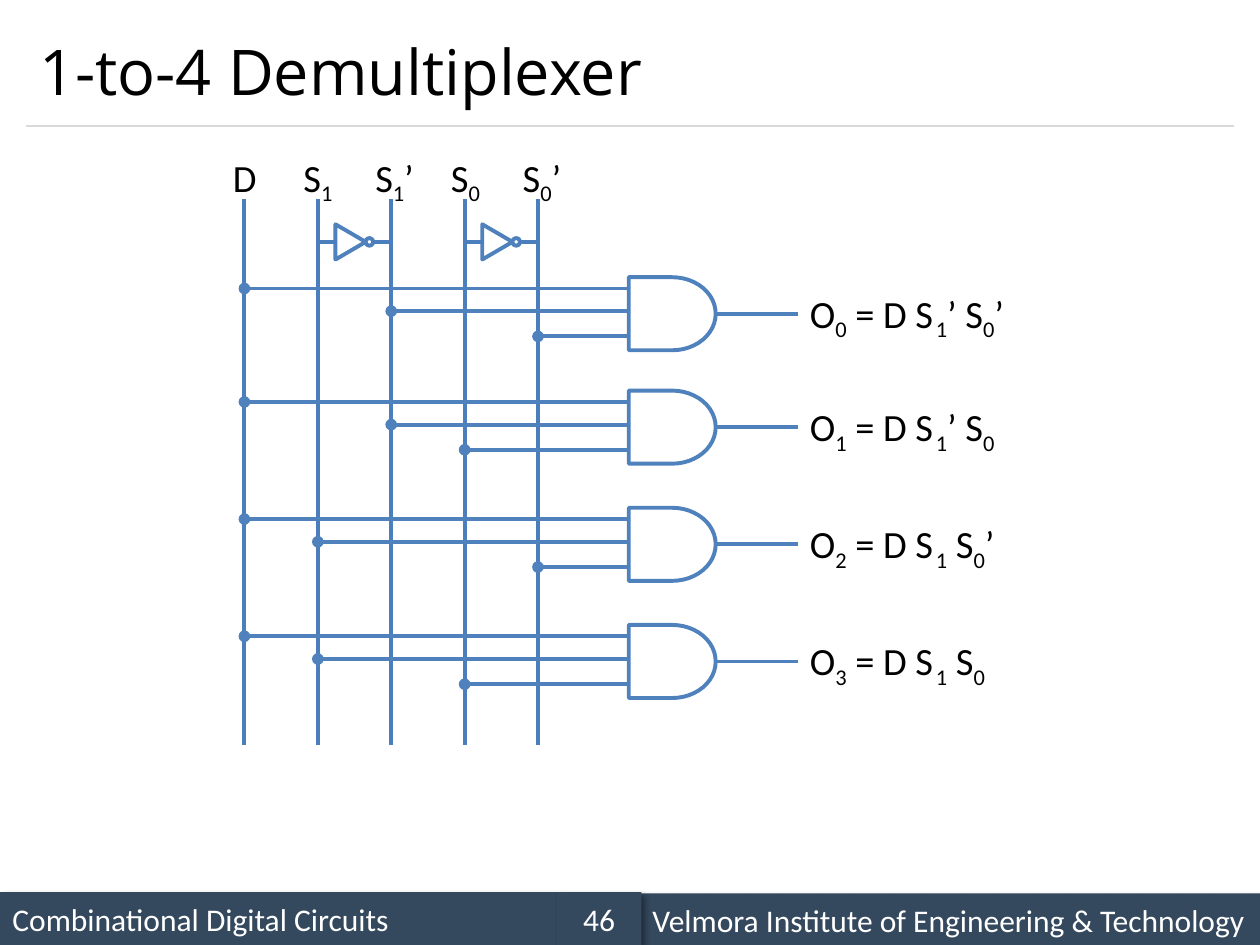
from dataclasses import dataclass

from lxml import etree
from pptx import Presentation
from pptx import util as u
from pptx.dml.color import RGBColor
from pptx.enum import shapes, text
from pptx.oxml import ns

COLORS = {"bar": "34495E", "rule": "D9D9D9", "bus": "4B7EBC", "gate": "4F81BD",
          "white": "FFFFFF", "black": "000000"}
Inches = u.Inches
BUS_LEFT, BUS_RIGHT, BUS_TOP, BUS_BOTTOM = 1.94, 4.27, 1.58, 5.91
GATE_LEFT, GATE_WIDTH, GATE_HEIGHT = 4.99, 0.69, 0.58
OUTPUT_END = 6.33
INPUT_OFFSETS = (0.09, 0.27, 0.47)
INVERTER_Y = 1.92


@dataclass
class Bar:
    left: float
    top: float
    width: float
    words: str
    align: text.PP_ALIGN


@dataclass
class Signal:
    label: str
    left: float
    width: float = 0.59


@dataclass
class Gate:
    top: float
    inputs: tuple[int, int, int]
    formula: str


BARS = [
    Bar(0, 7.08, 4.42, "Combinational Digital Circuits", text.PP_ALIGN.LEFT),
    Bar(5.08, 7.09, 4.92, "Velmora Institute of Engineering & Technology", text.PP_ALIGN.LEFT),
    Bar(4.42, 7.08, 0.67, "46", text.PP_ALIGN.CENTER),
]
SIGNALS = [Signal("D", 1.75, 0.38), Signal("S|1", 2.31), Signal("S|1|’", 2.88),
           Signal("S|0", 3.48), Signal("S|0|’", 4.05)]
GATES = [
    Gate(2.2, (0, 2, 4), "O|0| = D S|\t1|’ S|0|’"),
    Gate(3.1, (0, 2, 3), "O|1| = D S|\t1|’ S|0"),
    Gate(4.03, (0, 1, 4), "O|2| = D S|\t1| S|0|’"),
    Gate(4.96, (0, 1, 3), "O|3| = D S|\t1| S|0"),
]


def rgb(name: str) -> RGBColor:
    return RGBColor.from_string(COLORS[name])


def bus_x(index: int) -> float:
    return BUS_LEFT + index * (BUS_RIGHT - BUS_LEFT) / (len(SIGNALS) - 1)


def add_wire(canvas, start: tuple, end: tuple, color: str = "bus",
             width: float = 2.25, dot: bool = False):
    wire = canvas.add_connector(shapes.MSO_CONNECTOR.STRAIGHT,
                                *(Inches(value) for value in start + end))
    wire.line.color.rgb = rgb(color)
    wire.line.width = u.Pt(width)
    properties = wire._element.spPr
    if dot:
        outline = properties.find(ns.qn("a:ln"))
        etree.SubElement(outline, ns.qn("a:headEnd"), type="oval")
    etree.SubElement(properties, ns.qn("a:effectLst"))
    return wire


def add_outline(canvas, kind: shapes.MSO_SHAPE, left: float, top: float,
                width: float, height: float, filled: bool = True):
    shape = canvas.add_shape(kind, Inches(left), Inches(top), Inches(width), Inches(height))
    shape.shadow.inherit = False
    if filled:
        shape.fill.solid()
        shape.fill.fore_color.rgb = rgb("white")
    else:
        shape.fill.background()
    shape.line.color.rgb = rgb("gate")
    shape.line.width = u.Pt(2.25)
    return shape


def add_label(canvas, words: str, left: float, top: float, width: float) -> None:
    box = canvas.add_textbox(Inches(left), Inches(top), Inches(width), Inches(0.47))
    box.text_frame.word_wrap = True
    para = box.text_frame.paragraphs[0]
    para.font.size = u.Pt(22)
    para.font.name = "Calibri"
    para.font.color.rgb = rgb("black")
    for index, part in enumerate(words.split("|")):
        span = para.add_run()
        span.text = part
        if index % 2:
            span._r.get_or_add_rPr().set("baseline", "-25000")


def add_bar(canvas, bar: Bar) -> None:
    shape = canvas.add_shape(shapes.MSO_SHAPE.RECTANGLE, Inches(bar.left), Inches(bar.top),
                             Inches(bar.width), Inches(0.42))
    shape.fill.solid()
    shape.fill.fore_color.rgb = rgb("bar")
    shape.line.fill.background()
    shape.shadow.inherit = False
    effects = shape._element.spPr.find(ns.qn("a:effectLst"))
    shadow = etree.SubElement(effects, ns.qn("a:outerShdw"), blurRad=str(u.Pt(4)),
                              dist=str(u.Pt(3)), dir="2700000", algn="tl", rotWithShape="0")
    tint = etree.SubElement(shadow, ns.qn("a:srgbClr"), val=COLORS["black"])
    etree.SubElement(tint, ns.qn("a:alpha"), val="40000")
    shape.text_frame.vertical_anchor = text.MSO_ANCHOR.MIDDLE
    para = shape.text_frame.paragraphs[0]
    para.text = bar.words
    para.alignment = bar.align
    para.font.size = u.Pt(18)
    para.font.name = "Calibri"
    para.font.color.rgb = rgb("white")


def add_inverter(slide, index: int) -> None:
    canvas = slide.shapes.add_group_shape().shapes
    x = bus_x(index)
    triangle = add_outline(canvas, shapes.MSO_SHAPE.ISOSCELES_TRIANGLE,
                           x + 0.12, INVERTER_Y - 0.12, 0.28, 0.24)
    triangle.rotation = 90
    add_outline(canvas, shapes.MSO_SHAPE.OVAL, x + 0.38, INVERTER_Y - 0.03, 0.06, 0.06)
    add_wire(canvas, (x, INVERTER_Y), (x + 0.15, INVERTER_Y))
    add_wire(canvas, (x + 0.43, INVERTER_Y), (bus_x(index + 1), INVERTER_Y))


def add_gate(slide, gate: Gate) -> None:
    canvas = slide.shapes.add_group_shape().shapes
    for signal, offset in zip(gate.inputs, INPUT_OFFSETS):
        y = gate.top + offset
        add_wire(canvas, (bus_x(signal), y), (GATE_LEFT, y), "gate", dot=True)
    body = add_outline(canvas, shapes.MSO_SHAPE.FLOWCHART_DELAY, GATE_LEFT, gate.top,
                       GATE_WIDTH, GATE_HEIGHT, filled=False)
    middle = gate.top + GATE_HEIGHT / 2
    output = add_wire(canvas, (GATE_LEFT + GATE_WIDTH, middle), (OUTPUT_END, middle), "gate")
    output.begin_connect(body, 3)
    add_label(slide.shapes, gate.formula, OUTPUT_END, gate.top + 0.05, 2.42)


def add_title(slide, words: str) -> None:
    title = slide.shapes.title
    title.left, title.top = Inches(0.21), Inches(0.12)
    title.width, title.height = Inches(9.58), Inches(0.88)
    title.text_frame.vertical_anchor = text.MSO_ANCHOR.MIDDLE
    para = title.text_frame.paragraphs[0]
    para.text = words
    para.alignment = text.PP_ALIGN.LEFT
    para.font.size = u.Pt(36)
    para.font.name = "Open Sans"
    para.font.color.rgb = rgb("black")


def main() -> None:
    deck = Presentation()
    deck.slide_width, deck.slide_height = Inches(10), Inches(7.5)
    slide = deck.slides.add_slide(deck.slide_layouts[5])
    add_title(slide, "1-to-4 Demultiplexer")
    add_wire(slide.shapes, (0.21, 1), (9.79, 1), "rule", 0.75)
    for bar in BARS:
        add_bar(slide.shapes, bar)
    for index, signal in enumerate(SIGNALS):
        x = bus_x(index)
        add_wire(slide.shapes, (x, BUS_TOP), (x, BUS_BOTTOM))
        add_label(slide.shapes, signal.label, signal.left, 1.17, signal.width)
    for index in (1, 3):
        add_inverter(slide, index)
    for gate in GATES:
        add_gate(slide, gate)
    deck.save("out.pptx")


if __name__ == "__main__":
    main()
